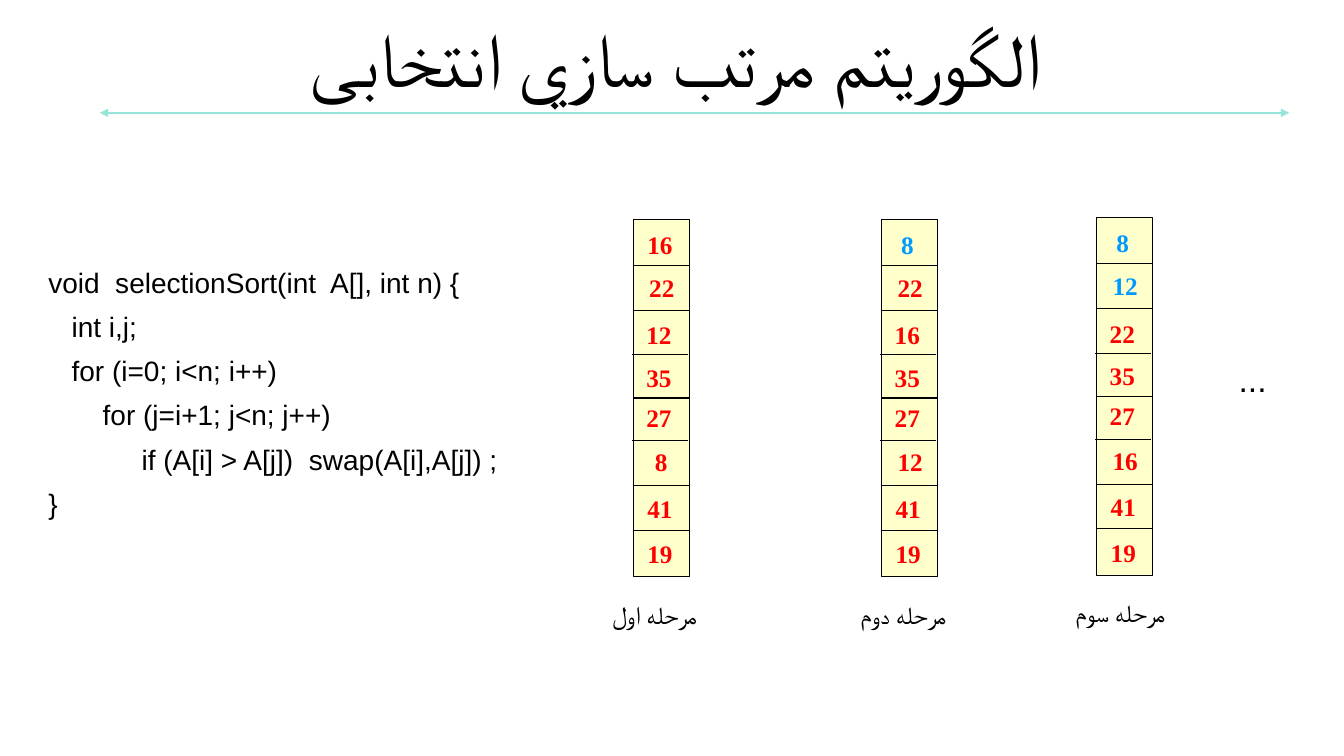
from lxml import etree
from pptx import Presentation
from pptx.dml.color import RGBColor
from pptx.enum import shapes, text
from pptx.oxml import ns
from pptx.util import Pt

BLACK = RGBColor(0x00, 0x00, 0x00)
RED = RGBColor(0xFF, 0x00, 0x00)
BLUE = RGBColor(0x00, 0x99, 0xFF)
CREAM = RGBColor(0xFF, 0xFF, 0xCC)
TEAL = RGBColor(0x96, 0xE5, 0xD8)

HEADING = "الگوريتم مرتب سازي انتخابی"
CODE = [
    "void  selectionSort(int  A[], int n) {",
    "   int i,j;",
    "   for (i=0; i<n; i++)",
    "       for (j=i+1; j<n; j++)",
    "            if (A[i] > A[j])  swap(A[i],A[j]) ;",
    "}",
]
STAGES = [
    {"label": "مرحله اول", "label_width": 88.6, "left": 452.4, "top": 156.5,
     "sorted": 0, "values": [16, 22, 12, 35, 27, 8, 41, 19]},
    {"label": "مرحله دوم", "label_width": 92.2, "left": 629.8, "top": 156.5,
     "sorted": 1, "values": [8, 22, 16, 35, 27, 12, 41, 19]},
    {"label": "مرحله سوم", "label_width": 101.5, "left": 783.4, "top": 155.3,
     "sorted": 2, "values": [8, 12, 22, 35, 27, 16, 41, 19]},
]
ELLIPSIS = "..."

ARRAY_WIDTH, ARRAY_HEIGHT = 39.9, 255.6
DIVIDERS = [(0, 33), (0, 65.3), (-1, 97), (0, 127.8), (-1, 158.5), (0, 190.6), (0, 222.4)]
MIDDLE_DIVIDER = 3
VALUE_OFFSETS = [(2.9, 3.6), (4.3, 34.4), (2.2, 68.2), (2.2, 98.6),
                 (2.2, 127.3), (4.3, 159), (2.9, 192.1), (2.9, 224.7)]
SINGLE_DIGIT_SHIFT = 4


def add_run(paragraph, wording, size, font, color, bold=None):
    run = paragraph.add_run()
    run.text = wording
    run.font.size = Pt(size)
    run.font.name = font
    run.font.bold = bold
    run.font.color.rgb = color


def add_textbox(slide, left, top, width, height):
    frame = slide.shapes.add_textbox(Pt(left), Pt(top), Pt(width), Pt(height)).text_frame
    frame.word_wrap = True
    return frame


def add_line(parent, left, top, right, color, weight):
    line = parent.shapes.add_connector(
        shapes.MSO_CONNECTOR.STRAIGHT, Pt(left), Pt(top), Pt(right), Pt(top))
    line.line.color.rgb = color
    line.line.width = Pt(weight)
    etree.SubElement(line._element.spPr, ns.qn("a:effectLst"))
    return line


def add_heading(slide):
    title = slide.shapes.title
    title.left, title.top, title.width, title.height = Pt(27.4), Pt(16.6), Pt(911.5), Pt(56.9)
    frame = title.text_frame
    frame.auto_size = text.MSO_AUTO_SIZE.NONE
    frame.vertical_anchor = text.MSO_ANCHOR.MIDDLE
    paragraph = frame.paragraphs[0]
    paragraph.alignment = text.PP_ALIGN.CENTER
    paragraph.line_spacing = 0.9
    paragraph._p.get_or_add_pPr().set("rtl", "1")
    add_run(paragraph, HEADING, 54, "Arial", BLACK)

    rule = add_line(slide, 71.3, 80.6, 920.9, TEAL, 1.5)
    for end in ("a:headEnd", "a:tailEnd"):
        etree.SubElement(rule.line._get_or_add_ln(), ns.qn(end), type="triangle")


def add_code(slide):
    frame = add_textbox(slide, 27.4, 188.6, 337, 233.3)
    for index, code_line in enumerate(CODE):
        paragraph = frame.add_paragraph() if index else frame.paragraphs[0]
        paragraph.line_spacing = 0.9
        paragraph.space_before = Pt(10 if index else 0)
        indent = paragraph._p.get_or_add_pPr()
        indent.set("marL", str(Pt(18)))
        indent.set("indent", str(-Pt(18)))
        add_run(paragraph, code_line, 20, "Arial", BLACK)


def add_stage(slide, stage):
    left, top = stage["left"], stage["top"]
    array = slide.shapes.add_group_shape()
    column = array.shapes.add_shape(
        shapes.MSO_SHAPE.RECTANGLE, Pt(left), Pt(top), Pt(ARRAY_WIDTH), Pt(ARRAY_HEIGHT))
    column.shadow.inherit = False
    column.fill.solid()
    column.fill.fore_color.rgb = CREAM
    column.line.color.rgb = BLACK
    column.line.width = Pt(0.75)
    for index, (dx, dy) in enumerate(DIVIDERS):
        divider = add_line(array, left + dx, top + dy, left + dx + ARRAY_WIDTH, BLACK, 0.75)
        if index == MIDDLE_DIVIDER:
            divider.begin_connect(column, 1)
            divider.end_connect(column, 3)

    for index, (value, (dx, dy)) in enumerate(zip(stage["values"], VALUE_OFFSETS)):
        shift = SINGLE_DIGIT_SHIFT if value < 10 else 0
        frame = add_textbox(slide, left + dx + shift, top + dy, ARRAY_WIDTH, 28)
        color = BLUE if index < stage["sorted"] else RED
        add_run(frame.paragraphs[0], str(value), 18, "Times New Roman", color, True)

    label = add_textbox(slide, left - 22.3, top + 267.8, stage["label_width"], 29)
    add_run(label.paragraphs[0], stage["label"], 18, "Karla", BLACK)


def main():
    deck = Presentation()
    deck.slide_width, deck.slide_height = Pt(960), Pt(540)
    slide = deck.slides.add_slide(deck.slide_layouts[5])
    add_heading(slide)
    add_code(slide)
    for stage in STAGES:
        add_stage(slide, stage)
    ellipsis = add_textbox(slide, 877.7, 252.7, 34.6, 36)
    ellipsis.word_wrap = False
    add_run(ellipsis.paragraphs[0], ELLIPSIS, 24, "Arial", BLACK)
    deck.save("out.pptx")


if __name__ == "__main__":
    main()
